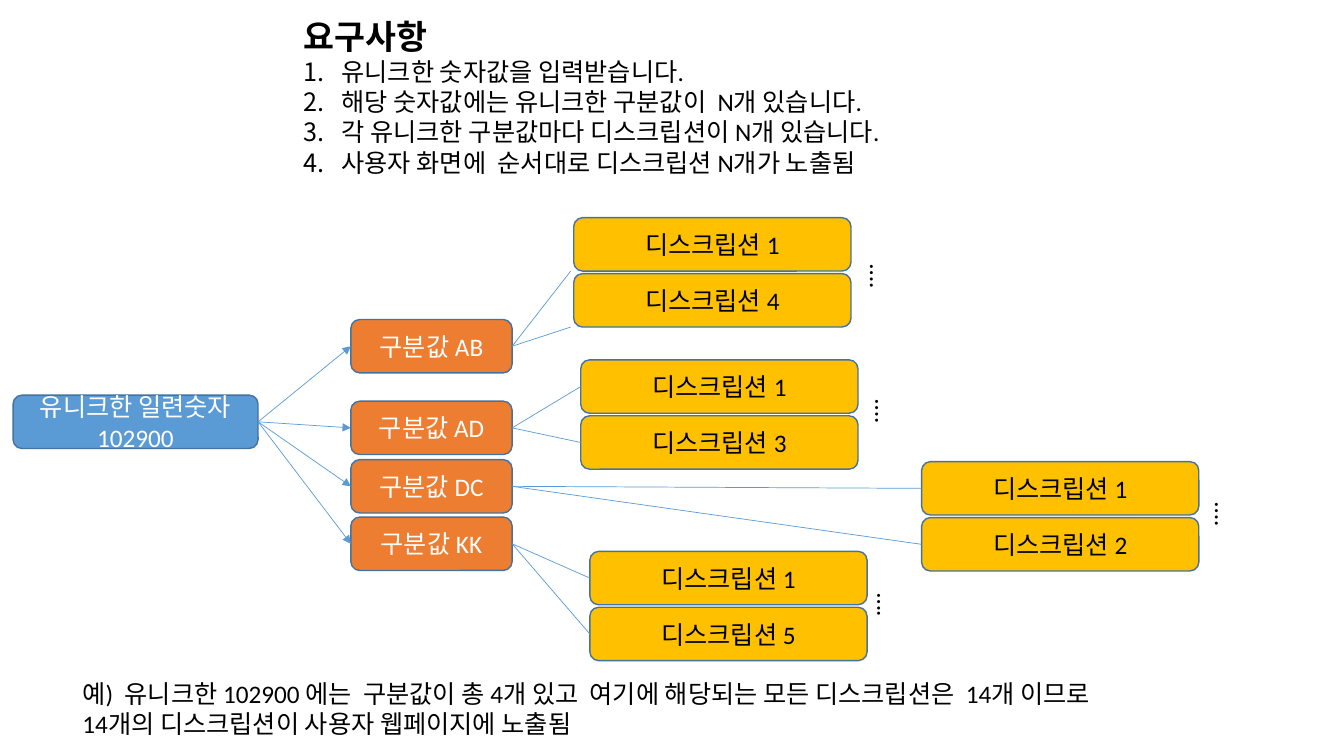
import pptx
import pptx.dml.color
import pptx.enum.shapes
import pptx.enum.text
import pptx.oxml
import pptx.oxml.ns
import pptx.util
from pptx.util import Inches

COLOURS = {
    "number": "5B9BD5",
    "category": "ED7D31",
    "description": "FFC000",
    "border": "43739E",
    "link": "5B9BD5",
    "dark": "000000",
    "light": "FFFFFF",
}
BOX_HEIGHT = 0.53
LEFT_SITE, RIGHT_SITE = 1, 3


class Diagram:
    font_name = "Calibri"
    text_size = 18
    title_size = 24

    def __init__(self, slide):
        self.slide = slide

    def colour(self, name):
        return pptx.dml.color.RGBColor.from_string(COLOURS[name])

    def set_text(self, frame, lines, colour="dark", size=text_size, bold=False, align="LEFT"):
        frame.text = "\n".join(lines)
        for paragraph in frame.paragraphs:
            paragraph.alignment = getattr(pptx.enum.text.PP_ALIGN, align)
            paragraph.line_spacing = 1.0
            paragraph.font.name = self.font_name
            paragraph.font.size = pptx.util.Pt(size)
            paragraph.font.bold = bold
            paragraph.font.color.rgb = self.colour(colour)

    def title(self, text, left, top, width, height):
        heading = self.slide.shapes.title
        heading.left, heading.top = Inches(left), Inches(top)
        heading.width, heading.height = Inches(width), Inches(height)
        frame = heading.text_frame
        frame.auto_size = pptx.enum.text.MSO_AUTO_SIZE.NONE
        frame.vertical_anchor = pptx.enum.text.MSO_ANCHOR.TOP
        self.set_text(frame, [text], size=self.title_size, bold=True)

    def text(self, lines, left, top, width, height, wrap=False, rotation=0):
        label = self.slide.shapes.add_textbox(
            Inches(left), Inches(top), Inches(width), Inches(height))
        label.rotation = rotation
        label.text_frame.word_wrap = wrap
        label.text_frame.auto_size = pptx.enum.text.MSO_AUTO_SIZE.SHAPE_TO_FIT_TEXT
        self.set_text(label.text_frame, lines)
        return label

    def numbered_list(self, lines, left, top, width, height):
        items = self.text(lines, left, top, width, height, wrap=True)
        for paragraph in items.text_frame.paragraphs:
            properties = paragraph._p.get_or_add_pPr()
            properties.set("marL", str(Inches(0.38)))
            properties.set("indent", str(Inches(-0.38)))
            numbering = pptx.oxml.parse_xml(
                f'<a:buAutoNum {pptx.oxml.ns.nsdecls("a")} type="arabicPeriod"/>')
            properties.find(pptx.oxml.ns.qn("a:defRPr")).addprevious(numbering)

    def box(self, lines, left, top, width, fill, text_colour):
        node = self.slide.shapes.add_shape(
            pptx.enum.shapes.MSO_SHAPE.ROUNDED_RECTANGLE,
            Inches(left), Inches(top), Inches(width), Inches(BOX_HEIGHT))
        node.shadow.inherit = False
        node.fill.solid()
        node.fill.fore_color.rgb = self.colour(fill)
        node.line.color.rgb = self.colour("border")
        node.line.width = pptx.util.Pt(1)
        node.text_frame.vertical_anchor = pptx.enum.text.MSO_ANCHOR.MIDDLE
        self.set_text(node.text_frame, lines, text_colour, align="CENTER")
        return node

    def link(self, source, target=None, end=(0, 0), arrow=False):
        line = self.slide.shapes.add_connector(
            pptx.enum.shapes.MSO_CONNECTOR.STRAIGHT, 0, 0, Inches(end[0]), Inches(end[1]))
        line.begin_connect(source, RIGHT_SITE)
        if target is not None:
            line.end_connect(target, LEFT_SITE)
        line.line.color.rgb = self.colour("link")
        line.line.width = pptx.util.Pt(0.5)
        namespace = pptx.oxml.ns.nsdecls("a")
        properties = line._element.spPr
        if arrow:
            properties.find(pptx.oxml.ns.qn("a:ln")).append(
                pptx.oxml.parse_xml(f'<a:tailEnd {namespace} type="triangle"/>'))
        properties.append(pptx.oxml.parse_xml(f"<a:effectLst {namespace}/>"))


presentation = pptx.Presentation()
presentation.slide_width = Inches(13.33)
presentation.slide_height = Inches(7.5)
title_only = presentation.slide_layouts[5]
diagram = Diagram(presentation.slides.add_slide(title_only))

diagram.title("요구사항", 2.91, 0.11, 6.4, 0.45)
diagram.numbered_list([
    "유니크한 숫자값을 입력받습니다.",
    "해당 숫자값에는 유니크한 구분값이  N개 있습니다.",
    "각 유니크한 구분값마다 디스크립션이 N개 있습니다.",
    "사용자 화면에  순서대로 디스크립션 N개가 노출됨",
], 2.91, 0.51, 6.4, 1.3)

serial_number = diagram.box(
    ["유니크한 일련숫자", "102900"], 0.13, 3.92, 2.43, "number", "light")

DESCRIPTION_STEP = 0.555
categories = [
    ("AB", 3.17, (5.69, 2.16), 4, (8.51, 2.55)),
    ("AD", 3.98, (5.76, 3.57), 3, (8.56, 3.89)),
    ("DC", 4.56, (9.14, 4.58), 2, (11.93, 4.91)),
    ("KK", 5.13, (5.85, 5.47), 5, (8.58, 5.81)),
]
for code, category_top, (left, first_top), last, dots_at in categories:
    category = diagram.box(
        [f"구분값 {code}"], 3.48, category_top, 1.6, "category", "light")
    diagram.link(serial_number, category, arrow=True)
    for position, number in enumerate((1, last)):
        top = first_top + position * DESCRIPTION_STEP
        description = diagram.box(
            [f"디스크립션 {number}"], left, top, 2.75, "description", "dark")
        if code == "AB":
            diagram.link(category, end=(5.66, top + BOX_HEIGHT))
        else:
            diagram.link(category, description)
    diagram.text(["…."], *dots_at, 0.44, 0.4, rotation=90)

diagram.text([
    "예)  유니크한 102900 에는  구분값이 총 4개 있고  여기에 해당되는 모든 디스크립션은  14개 이므로",
    "14개의 디스크립션이 사용자 웹페이지에 노출됨",
], 0.72, 6.68, 10.93, 0.71)

presentation.save("out.pptx")
